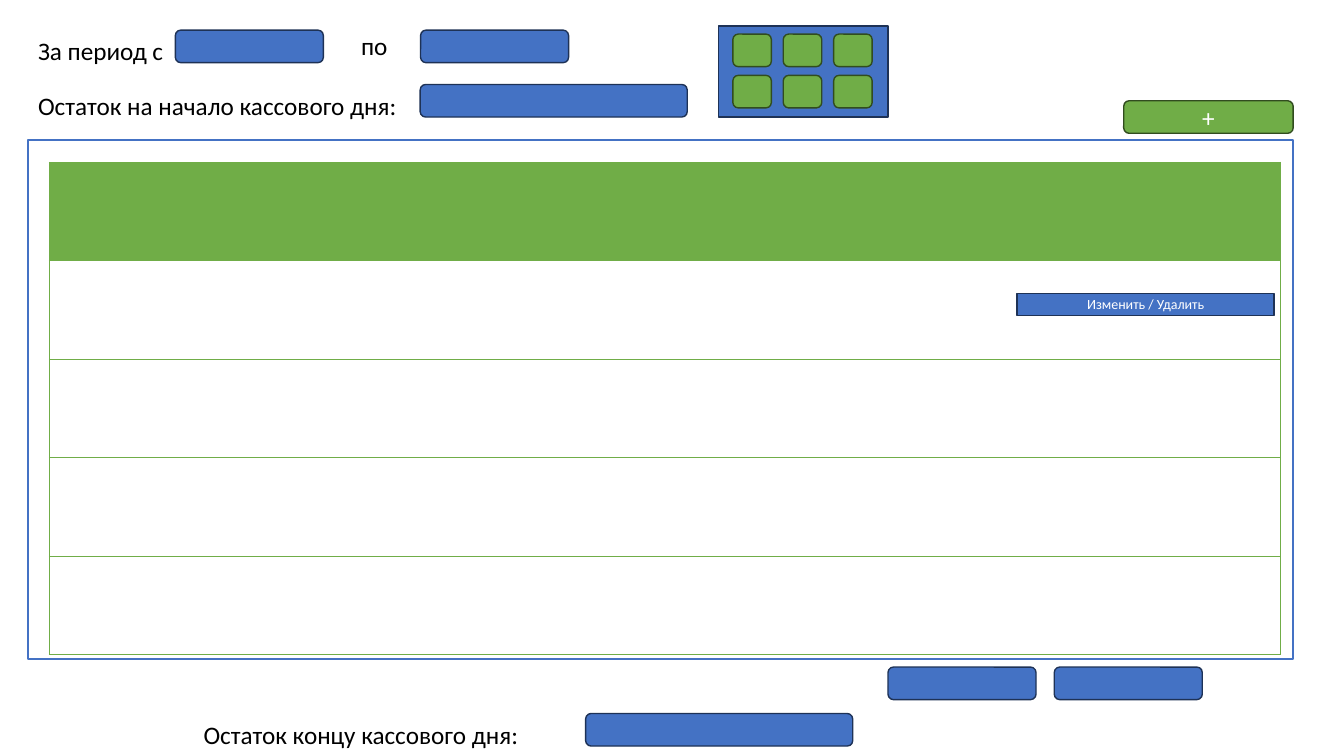
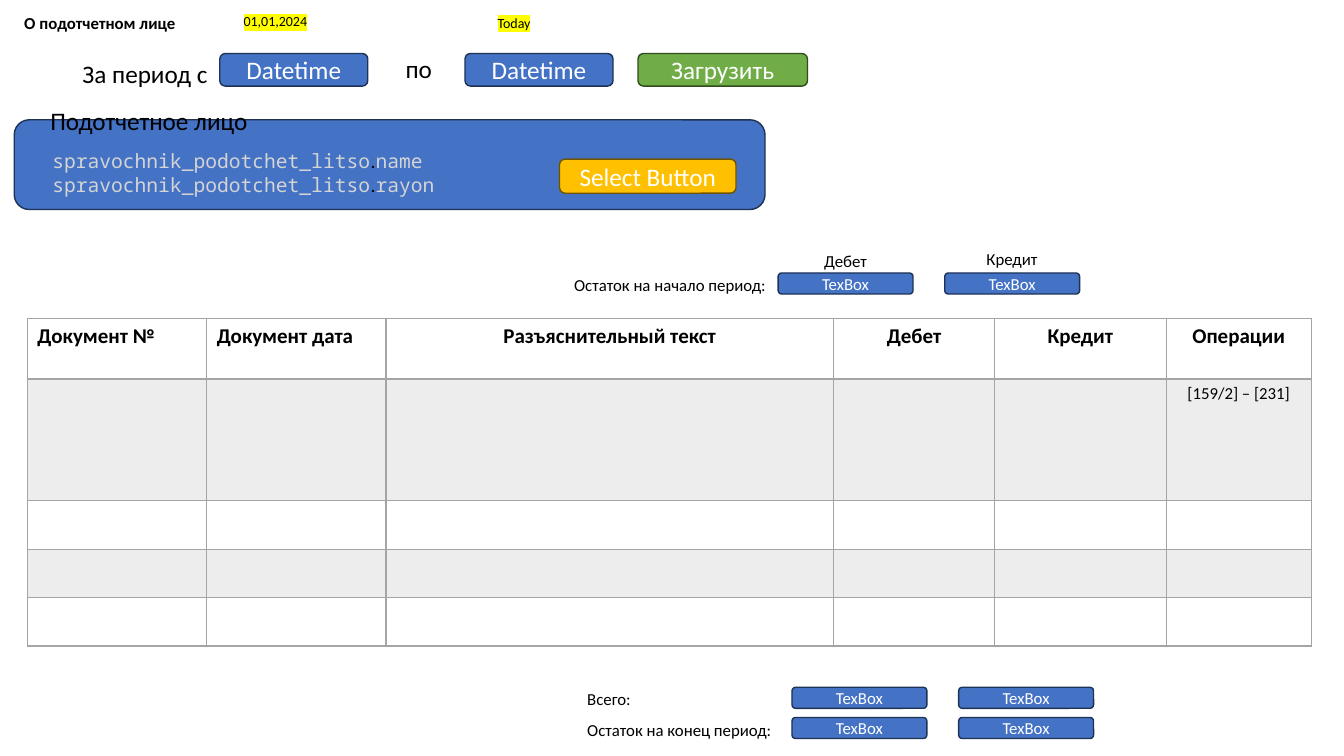
from lxml import etree
from pptx import Presentation
from pptx.dml.color import RGBColor
from pptx.enum.shapes import MSO_SHAPE
from pptx.enum.text import MSO_ANCHOR, MSO_AUTO_SIZE, PP_ALIGN
from pptx.oxml.ns import qn
from pptx.util import Cm, Pt

RECTANGLE = MSO_SHAPE.RECTANGLE
ROUNDED = MSO_SHAPE.ROUNDED_RECTANGLE
LEFT = PP_ALIGN.LEFT
CENTER = PP_ALIGN.CENTER
MIDDLE = MSO_ANCHOR.MIDDLE
FIT_TEXT = MSO_AUTO_SIZE.SHAPE_TO_FIT_TEXT

FONT = "Calibri"
CODE_FONT = "Noto Sans Mono"
BLACK, WHITE, YELLOW = "000000", "FFFFFF", "FFFF00"
GREEN, GRAY, BAND, CODE_GRAY = "70AD47", "A5A5A5", "EDEDED", "D4D4D4"
BLUE_STYLE = ("4472C4", "1E3256")
GREEN_STYLE = (GREEN, "314C1F")
GOLD_STYLE = ("FFC000", "705400")
FRAME_STYLE = (WHITE, "4472C4")

FIELD_SIZE = (3.73, 0.82)
WIDE_FIELD_SIZE = (6.73, 0.82)
BUTTON_SIZE = (4.27, 0.82)
KEY_SIZE = (0.97, 0.82)
AMOUNT_SIZE = (3.4, 0.53)
AMOUNT_STEP = 4.2

CASH_LABELS = [
    ("Остаток на начало кассового дня:", (0.71, 2.16, 9.65, 1.02)),
    ("Остаток концу кассового дня:", (4.88, 18.01, 8.53, 1.02)),
]
CASH_FIELDS = [
    (10.59, 2.13, *WIDE_FIELD_SIZE),
    (14.76, 17.98, *WIDE_FIELD_SIZE),
    (22.38, 16.81, *FIELD_SIZE),
    (26.57, 16.81, *FIELD_SIZE),
]
CASH_COLUMNS = [5.17] * 6
CASH_ROWS = [2.48] * 5

ACCOUNT_DATES = [
    ("01,01,2024", (5.89, 0.2, 2.16, 0.69)),
    ("Today", (12.29, 0.23, 1.4, 0.69)),
]
ACCOUNT_CODE = [("spravochnik_podotchet_litso", "name"), ("spravochnik_podotchet_litso", "rayon")]
OPENING_LABEL = ("Остаток на начало период:", (14.22, 6.81, 5.41, 0.76))
OPENING_AMOUNTS = [("Дебет", (20.52, 6.2, 1.6, 0.76)), ("Кредит", (24.61, 6.15, 1.8, 0.76))]
CLOSING_ROWS = [
    ("Всего:", (14.55, 17.22, 1.63, 0.76), 17.32),
    ("Остаток на конец период:", (14.55, 18.01, 5.21, 0.76), 18.08),
]
ACCOUNT_HEADERS = [
    ("Документ №", 4.52, LEFT),
    ("Документ дата", 4.52, LEFT),
    ("Разъяснительный текст", 11.28, CENTER),
    ("Дебет", 4.06, CENTER),
    ("Кредит", 4.32, CENTER),
    ("Операции", 3.66, CENTER),
]
ACCOUNT_ROWS = [1.52, 3.07, 1.22, 1.22, 1.22]
OPERATION = "[159/2] – [231]"


def color(value):
    return RGBColor.from_string(value)


def add_run(paragraph, text, size, ink=BLACK, bold=False, highlight=None, font=FONT):
    run = paragraph.add_run()
    run.text = text
    run.font.size = Pt(size)
    run.font.bold = bold
    run.font.color.rgb = color(ink)
    if highlight:
        mark = etree.SubElement(run.font._element, qn("a:highlight"))
        etree.SubElement(mark, qn("a:srgbClr"), val=highlight)
    run.font.name = font


def add_label(shapes, text, box, size=18, **style):
    shape = shapes.add_textbox(*map(Cm, box))
    shape.text_frame.word_wrap = False
    shape.text_frame.auto_size = FIT_TEXT
    add_run(shape.text_frame.paragraphs[0], text, size, **style)


def add_box(shapes, box, style=BLUE_STYLE, text="", size=18, kind=ROUNDED):
    shape = shapes.add_shape(kind, *map(Cm, box))
    fill, line = style
    shape.shadow.inherit = False
    shape.fill.solid()
    shape.fill.fore_color.rgb = color(fill)
    shape.line.color.rgb = color(line)
    shape.line.width = Pt(1)
    if text:
        frame = shape.text_frame
        frame.word_wrap = True
        frame.vertical_anchor = MIDDLE
        frame.paragraphs[0].alignment = CENTER
        add_run(frame.paragraphs[0], text, size, WHITE)


def add_period(shapes, left, top, field_text=""):
    add_label(shapes, "За период с", (left, top, 3.71, 1.02))
    add_label(shapes, "по", (left + 8.14, top - 0.12, 1.19, 1.02))
    for offset in (3.71, 9.89):
        add_box(shapes, (left + offset, top, *FIELD_SIZE), text=field_text)


def set_borders(cell, ink, widths):
    properties = cell._tc.get_or_add_tcPr()
    for side in "LRTB":
        width = widths.get(side, 0)
        line = etree.SubElement(properties, qn("a:ln" + side), w=str(Pt(width)))
        if width:
            fill = etree.SubElement(line, qn("a:solidFill"))
            etree.SubElement(fill, qn("a:srgbClr"), val=ink)
        else:
            etree.SubElement(line, qn("a:noFill"))


def set_cell_fill(cell, value):
    if value:
        cell.fill.solid()
        cell.fill.fore_color.rgb = color(value)
    else:
        cell.fill.background()


def add_grid(shapes, left, top, columns, rows):
    box = (left, top, sum(columns), sum(rows))
    table = shapes.add_table(len(rows), len(columns), *map(Cm, box)).table
    table.first_row = False
    table.horz_banding = False
    for column, width in zip(table.columns, columns):
        column.width = Cm(width)
    for row, height in zip(table.rows, rows):
        row.height = Cm(height)
    return table


def write_cell(cell, text, size, alignment, bold=False):
    paragraph = cell.text_frame.paragraphs[0]
    paragraph.alignment = alignment
    add_run(paragraph, text, size, bold=bold)


def add_cash_table(shapes):
    table = add_grid(shapes, 1.24, 4.09, CASH_COLUMNS, CASH_ROWS)
    last = len(CASH_COLUMNS) - 1
    for row_index, row in enumerate(table.rows):
        for column_index, cell in enumerate(row.cells):
            widths = {"T": 0.5, "B": 0.5}
            if column_index == 0:
                widths["L"] = 0.5
            if column_index == last:
                widths["R"] = 0.5
            set_borders(cell, GREEN, widths)
            set_cell_fill(cell, GREEN if row_index == 0 else None)


def add_account_table(shapes):
    columns = [width for _, width, _ in ACCOUNT_HEADERS]
    table = add_grid(shapes, 0.69, 8.03, columns, ACCOUNT_ROWS)
    for row_index, row in enumerate(table.rows):
        for cell in row.cells:
            widths = dict.fromkeys("LRTB", 1)
            if row_index == 0:
                widths["B"] = 2
            elif row_index == 1:
                widths["T"] = 2
            set_borders(cell, GRAY, widths)
            set_cell_fill(cell, BAND if row_index % 2 else None)
    for index, (text, _, alignment) in enumerate(ACCOUNT_HEADERS):
        write_cell(table.cell(0, index), text, 15, alignment, bold=True)
    write_cell(table.cell(1, len(columns) - 1), OPERATION, 12, CENTER)


def build_cash_slide(shapes):
    add_period(shapes, 0.71, 0.76)
    add_box(shapes, (0.71, 3.53, 31.88, 13.08), FRAME_STYLE, kind=RECTANGLE)
    for text, box in CASH_LABELS:
        add_label(shapes, text, box)
    for box in CASH_FIELDS:
        add_box(shapes, box)
    add_box(shapes, (18.11, 0.66, 4.27, 2.29), kind=RECTANGLE)
    for row in range(2):
        for column in range(3):
            add_box(shapes, (18.47 + 1.27 * column, 0.86 + 1.04 * row, *KEY_SIZE), GREEN_STYLE)
    add_box(shapes, (28.32, 2.54, *BUTTON_SIZE), GREEN_STYLE, "+")
    add_cash_table(shapes)
    add_box(shapes, (25.63, 7.39, 6.48, 0.56), text="Изменить / Удалить", size=10, kind=RECTANGLE)


def add_amount(shapes, left, top):
    add_box(shapes, (left, top, *AMOUNT_SIZE), text="TexBox", size=12)


def add_account_code(shapes):
    frame = shapes.add_textbox(*map(Cm, (1.07, 3.63, 11.1, 1.45))).text_frame
    frame.word_wrap = True
    frame.auto_size = FIT_TEXT
    for index, (entity, field) in enumerate(ACCOUNT_CODE):
        paragraph = frame.add_paragraph() if index else frame.paragraphs[0]
        add_run(paragraph, entity, 14, CODE_GRAY, font=CODE_FONT)
        add_run(paragraph, ".", 14)
        add_run(paragraph, field, 14, CODE_GRAY, font=CODE_FONT)


def build_account_slide(shapes):
    add_label(shapes, "О подотчетном лице", (0.36, 0.2, 4.34, 0.76), 12, bold=True)
    for text, box in ACCOUNT_DATES:
        add_label(shapes, text, box, 10, highlight=YELLOW)
    add_period(shapes, 1.83, 1.35, "Datetime")
    add_box(shapes, (16.08, 1.35, *BUTTON_SIZE), GREEN_STYLE, "Загрузить")
    add_box(shapes, (0.36, 3.02, 18.92, 2.26))
    add_box(shapes, (14.1, 4.01, 4.45, 0.86), GOLD_STYLE, "Select Button")
    add_label(shapes, "Подотчетное лицо", (1.02, 2.54, 5.54, 1.02))
    add_account_code(shapes)
    add_label(shapes, *OPENING_LABEL, 12)
    for index, (text, box) in enumerate(OPENING_AMOUNTS):
        group = shapes.add_group_shape().shapes
        add_amount(group, 19.61 + AMOUNT_STEP * index, 6.88)
        add_label(group, text, box, 12)
    add_account_table(shapes)
    for text, box, top in CLOSING_ROWS:
        add_label(shapes, text, box, 12)
        for index in range(2):
            add_amount(shapes, 19.96 + AMOUNT_STEP * index, top)


def main():
    presentation = Presentation()
    presentation.slide_width = Cm(33.87)
    presentation.slide_height = Cm(19.05)
    for build in (build_cash_slide, build_account_slide):
        slide = presentation.slides.add_slide(presentation.slide_layouts[6])
        build(slide.shapes)
    presentation.save("out.pptx")


if __name__ == "__main__":
    main()
